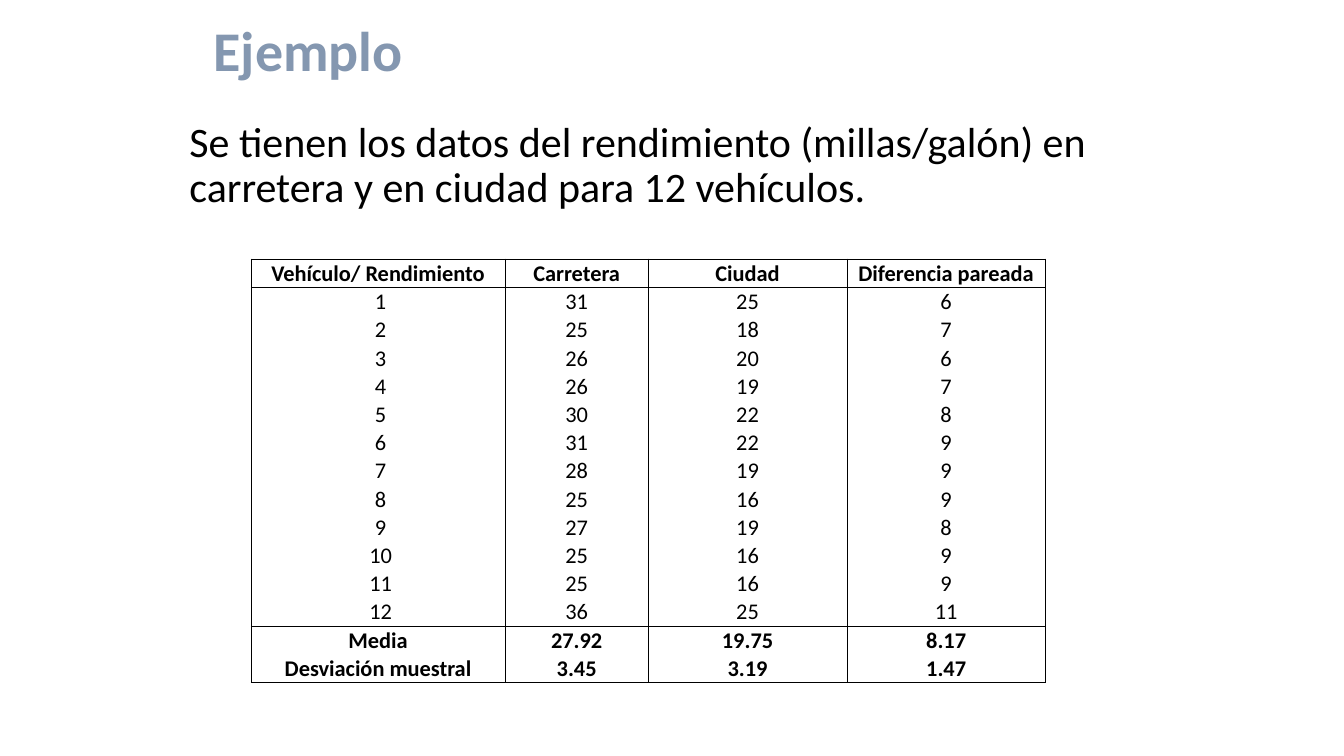
"""Build the slide with the paired fuel-efficiency example and its table."""
from lxml.etree import SubElement
from pptx import Presentation
from pptx.dml.color import RGBColor
from pptx.enum.text import MSO_ANCHOR, PP_ALIGN
from pptx.oxml.ns import qn
from pptx.util import Inches, Pt

BLACK = RGBColor(0x00, 0x00, 0x00)
SLATE = RGBColor(0x84, 0x97, 0xB0)

TITLE = "Ejemplo"
STATEMENT = (
    "Se tienen los datos del rendimiento (millas/galón) en "
    "carretera y en ciudad para 12 vehículos."
)
HEADINGS = ("Vehículo/ Rendimiento", "Carretera", "Ciudad", "Diferencia pareada")
MILEAGE = (
    (31, 25), (25, 18), (26, 20), (26, 19), (30, 22), (31, 22),
    (28, 19), (25, 16), (27, 19), (25, 16), (25, 16), (36, 25),
)
SUMMARY = (
    ("Media", "27.92", "19.75", "8.17"),
    ("Desviación muestral", "3.45", "3.19", "1.47"),
)
COLUMN_WIDTHS = (2.52, 1.42, 1.97, 1.97)
ROW_HEIGHT = 0.28
BORDER_WIDTH = Pt(0.5)

TITLE_FONT = {"name": "Calibri", "size": Pt(40), "bold": True}
STATEMENT_FONT = {"name": "Calibri", "size": Pt(30), "bold": False}
CELL_FONT = {"name": "Calibri", "size": Pt(16)}
CELL_FORMAT = {
    "margin_left": Inches(0.01),
    "margin_right": Inches(0.01),
    "margin_top": Inches(0.01),
    "margin_bottom": 0,
    "vertical_anchor": MSO_ANCHOR.BOTTOM,
}


def apply_format(target, values):
    for attribute, value in values.items():
        setattr(target, attribute, value)


def write_paragraph(paragraph, text, font, color, layout):
    run = paragraph.add_run()
    run.text = text
    apply_format(run.font, font)
    run.font.color.rgb = color
    apply_format(paragraph, layout)


def add_text(slide, box, text, font, color, anchor, layout):
    frame = slide.shapes.add_textbox(*map(Inches, box)).text_frame
    apply_format(frame, {"word_wrap": True, "vertical_anchor": anchor})
    write_paragraph(frame.paragraphs[0], text, font, color, layout)


def draw_borders(cell, sides):
    properties = cell._tc.get_or_add_tcPr()
    for side in ("L", "R", "T", "B"):
        border = SubElement(properties, qn(f"a:ln{side}"), w=str(BORDER_WIDTH))
        if side in sides:
            ink = SubElement(border, qn("a:solidFill"))
            SubElement(ink, qn("a:srgbClr"), val=str(BLACK))
        else:
            SubElement(border, qn("a:noFill"))


def add_mileage_table(slide):
    vehicles = [
        (f" {number}", str(road), str(city), str(road - city))
        for number, (road, city) in enumerate(MILEAGE, start=1)
    ]
    rows = [HEADINGS, *vehicles, *SUMMARY]
    first_summary = 1 + len(vehicles)
    section_starts = (0, 1, first_summary)
    section_ends = (0, first_summary - 1, len(rows) - 1)

    table = slide.shapes.add_table(
        len(rows), len(HEADINGS), Inches(2.49), Inches(2.57),
        Inches(sum(COLUMN_WIDTHS)), Inches(ROW_HEIGHT * len(rows)),
    ).table
    apply_format(table, {"first_row": False, "horz_banding": False})
    for column, width in zip(table.columns, COLUMN_WIDTHS):
        column.width = Inches(width)

    for row_index, row in enumerate(rows):
        table.rows[row_index].height = Inches(ROW_HEIGHT)
        sides = "LR"
        sides += "T" if row_index in section_starts else ""
        sides += "B" if row_index in section_ends else ""
        bold = row_index == 0 or row_index >= first_summary
        for column_index, text in enumerate(row):
            cell = table.cell(row_index, column_index)
            apply_format(cell, CELL_FORMAT)
            draw_borders(cell, sides)
            cell.fill.background()
            write_paragraph(
                cell.text_frame.paragraphs[0], text, {**CELL_FONT, "bold": bold},
                BLACK, {"alignment": PP_ALIGN.CENTER},
            )


def main():
    presentation = Presentation()
    presentation.slide_width = Inches(13.33)
    presentation.slide_height = Inches(7.5)
    slide = presentation.slides.add_slide(presentation.slide_layouts[6])
    add_text(slide, (2.02, -0.1, 9, 1.25), TITLE, TITLE_FONT, SLATE,
             MSO_ANCHOR.MIDDLE, {"line_spacing": 0.9})
    add_text(slide, (1.78, 1.15, 9.71, 1.45), STATEMENT, STATEMENT_FONT, BLACK,
             MSO_ANCHOR.TOP, {"line_spacing": 0.9, "space_before": Pt(10)})
    add_mileage_table(slide)
    presentation.save("out.pptx")


if __name__ == "__main__":
    main()
